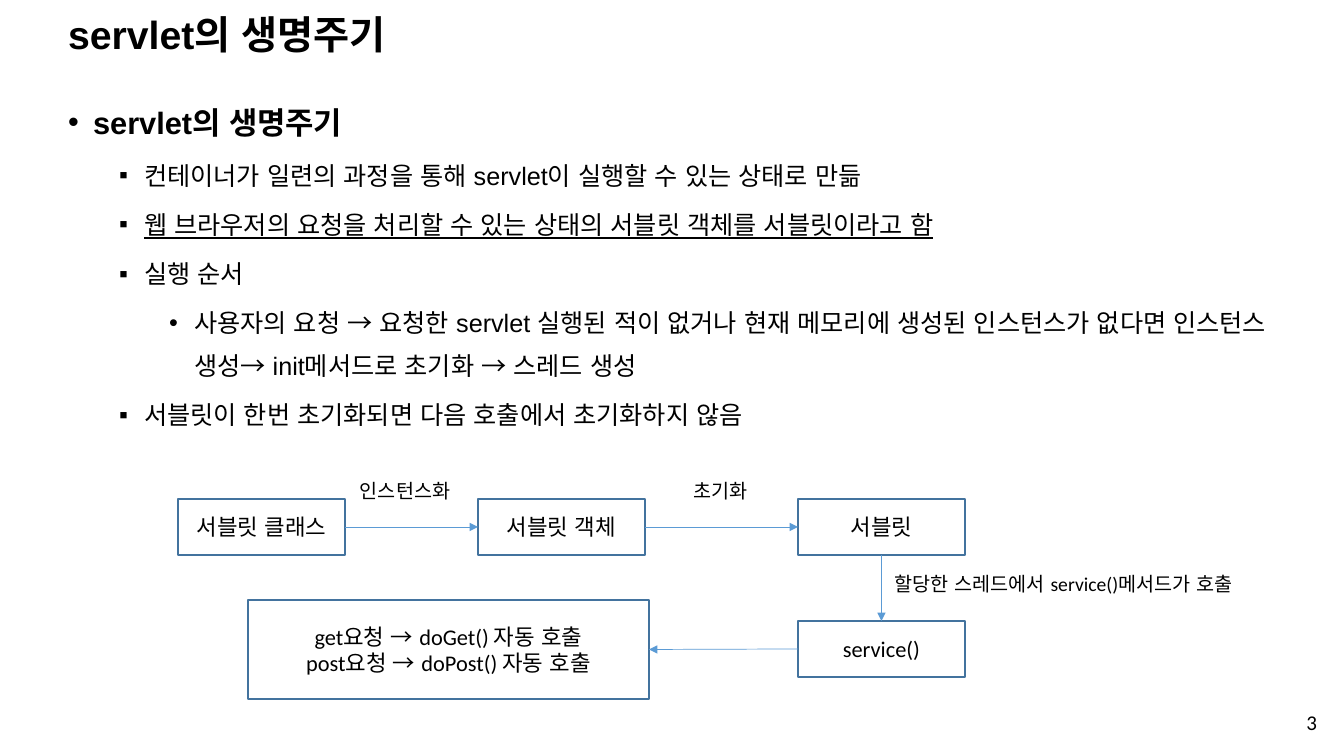
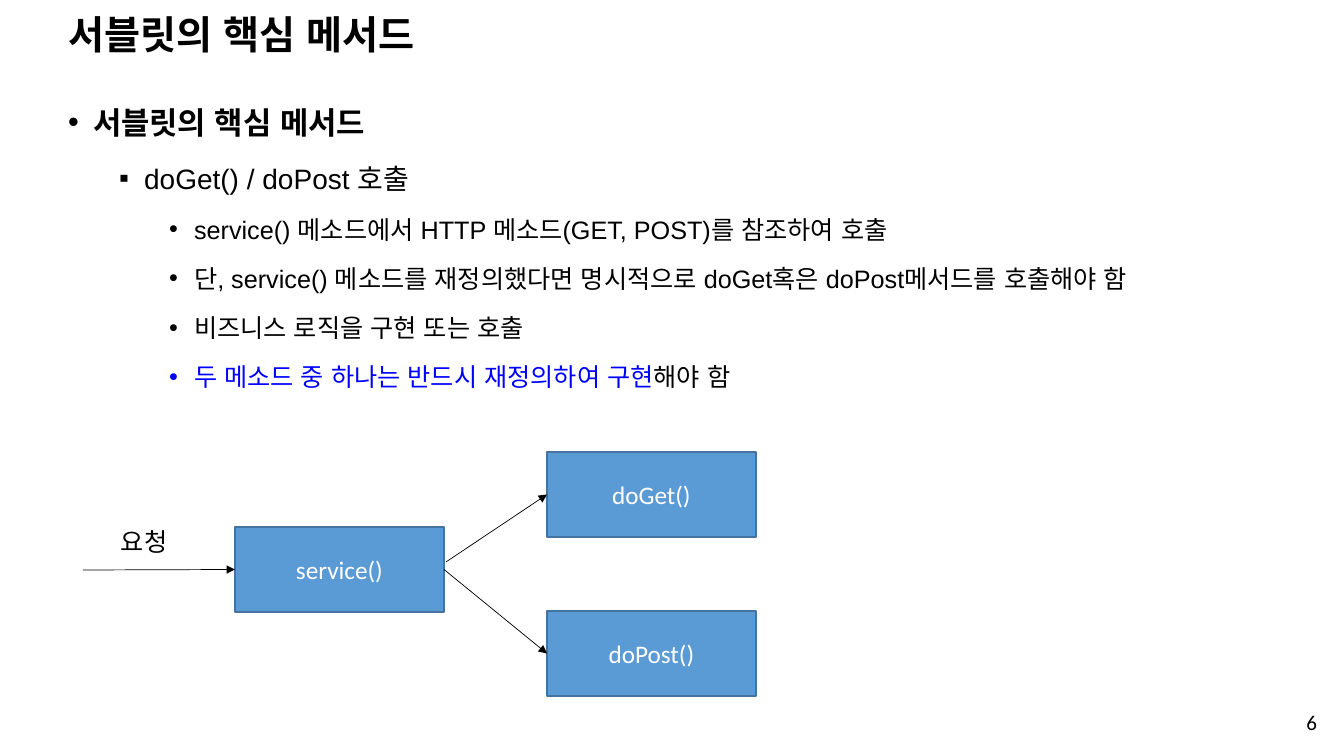
"""Builds two slides on the servlet life cycle and its core methods."""
from dataclasses import dataclass

from lxml import etree
from pptx import Presentation
from pptx.dml.color import RGBColor
from pptx.enum.lang import MSO_LANGUAGE_ID
from pptx.enum.shapes import MSO_CONNECTOR, MSO_SHAPE
from pptx.enum.text import MSO_ANCHOR, MSO_AUTO_SIZE, PP_ALIGN
from pptx.oxml.ns import qn
from pptx.util import Emu, Pt

KOREAN = MSO_LANGUAGE_ID.KOREAN
RECTANGLE = MSO_SHAPE.RECTANGLE
STRAIGHT = MSO_CONNECTOR.STRAIGHT
MIDDLE, TOP_ANCHOR = MSO_ANCHOR.MIDDLE, MSO_ANCHOR.TOP
NO_AUTOFIT = MSO_AUTO_SIZE.NONE
LEFT, CENTER, RIGHT = PP_ALIGN.LEFT, PP_ALIGN.CENTER, PP_ALIGN.RIGHT
TOP_SITE, LEFT_SITE, BOTTOM_SITE, RIGHT_SITE = range(4)

SLIDE_SIZE = (1344, 756)
TITLE_BOX = (58, 18, 1159, 38)
BODY_BOX = (58, 84, 1224, 633)
NUMBER_BOX = (949, 701, 378, 42)
FLOW_BOX = (178, 474, 1086, 225)
DISPATCH_BOX = (83, 452, 673, 244)


@dataclass(frozen=True)
class Theme:
    """Colours, fonts and type sizes of the deck."""
    text: str = "000000"
    white: str = "FFFFFF"
    accent: str = "5B9BD5"
    outline: str = "43739E"
    highlight: str = "0000FF"
    heading_font: str = "Arial"
    diagram_font: str = "Calibri"
    title_size: int = 28
    heading_size: int = 22
    subheading_size: int = 20
    body_size: int = 18
    box_size: int = 16
    number_size: int = 15
    label_size: int = 14


THEME = Theme()
# bullet, left margin in pixels, space before in points
LEVELS = (("•", 25, 10), ("▪", 76, 5), ("•", 126, 5))
BULLET_HANG = 25


def px(pixels):
    """Turn pixels into EMU."""
    return Emu(round(pixels * 914400 / 100.8))


def place(shape, box):
    """Move a shape to a box given in pixels."""
    shape.left, shape.top, shape.width, shape.height = map(px, box)


def write(paragraph, text, *, size, font=THEME.diagram_font, color=THEME.text,
          bold=False, underline=False, align=LEFT):
    """Add one formatted run to a paragraph."""
    paragraph.alignment = align
    run = paragraph.add_run()
    run.text = text
    run.font.name, run.font.size = font, Pt(size)
    run.font.bold, run.font.underline = bold, underline
    run.font.color.rgb = RGBColor.from_string(color)
    run.font.language_id = KOREAN


def add_label(slide, box, text, *, wrap=False, anchor=TOP_ANCHOR, **style):
    """Add a text box with one line of text."""
    shape = slide.shapes.add_textbox(*map(px, box))
    frame = shape.text_frame
    frame.word_wrap, frame.vertical_anchor = wrap, anchor
    write(frame.paragraphs[0], text, **style)


def add_box(slide, box, lines, *, fill=None, **style):
    """Add an outlined rectangle with centred lines and return it."""
    shape = slide.shapes.add_shape(RECTANGLE, *map(px, box))
    shape.shadow.inherit = False
    if fill:
        shape.fill.solid()
        shape.fill.fore_color.rgb = RGBColor.from_string(fill)
    else:
        shape.fill.background()
    shape.line.color.rgb = RGBColor.from_string(THEME.outline)
    shape.line.width = Pt(1)
    frame = shape.text_frame
    frame.word_wrap, frame.vertical_anchor = True, MIDDLE
    for index, line in enumerate(lines):
        paragraph = frame.add_paragraph() if index else frame.paragraphs[0]
        write(paragraph, line, align=CENTER, **style)
    return shape


def add_arrow(slide, target, *, source=None, start=(0, 0), color=THEME.text):
    """Draw an arrow to a (shape, site) from another one or a pixel point."""
    x, y = map(px, start)
    arrow = slide.shapes.add_connector(STRAIGHT, x, y, x, y)
    if source:
        arrow.begin_connect(*source)
    arrow.end_connect(*target)
    arrow.line.color.rgb = RGBColor.from_string(color)
    arrow.line.width = Pt(0.5)
    etree.SubElement(arrow.line._get_or_add_ln(), qn("a:tailEnd"), type="triangle")
    etree.SubElement(arrow._element.spPr, qn("a:effectLst"))


def set_level(paragraph, level):
    """Give a paragraph the bullet, indent and spacing of its level."""
    bullet, margin, space_before = LEVELS[level]
    paragraph.level = level
    paragraph.line_spacing = 1.4
    paragraph.space_before, paragraph.space_after = Pt(space_before), Pt(0)
    properties = paragraph._p.get_or_add_pPr()
    properties.set("marL", str(px(margin)))
    properties.set("indent", str(-px(BULLET_HANG)))
    etree.SubElement(properties, qn("a:buFont"), typeface=THEME.heading_font)
    etree.SubElement(properties, qn("a:buChar"), char=bullet)


def fill_title(shape, box, text):
    """Fill the title placeholder."""
    place(shape, box)
    frame = shape.text_frame
    frame.auto_size, frame.vertical_anchor = NO_AUTOFIT, MIDDLE
    paragraph = frame.paragraphs[0]
    paragraph.line_spacing = 0.9
    write(paragraph, text, size=THEME.title_size, font=THEME.heading_font, bold=True)


def fill_body(shape, box, heading, items):
    """Fill the body placeholder with a heading and (level, runs) items."""
    place(shape, box)
    frame = shape.text_frame
    frame.auto_size, frame.vertical_anchor = NO_AUTOFIT, TOP_ANCHOR
    heading_run = (heading, {"size": THEME.heading_size, "bold": True})
    for index, (level, runs) in enumerate([(0, [heading_run]), *items]):
        paragraph = frame.add_paragraph() if index else frame.paragraphs[0]
        set_level(paragraph, level)
        for text, style in runs:
            write(paragraph, text, font=THEME.heading_font,
                  **{"size": THEME.body_size, **style})


def add_content_slide(presentation, title, number, items):
    """Add a slide with title, bullet list and page number."""
    slide = presentation.slides.add_slide(presentation.slide_layouts[1])
    fill_title(slide.shapes.title, TITLE_BOX, title)
    fill_body(slide.placeholders[1], BODY_BOX, title, items)
    add_label(slide, NUMBER_BOX, number, wrap=True, anchor=MIDDLE,
              size=THEME.number_size, align=RIGHT)
    return slide


def draw_life_cycle(slide, box):
    """Draw the flow from servlet class to request methods."""
    left, top, width, height = box
    box_width, box_height, row = 167, 56, top + 25
    style = {"size": THEME.box_size}
    stages = [add_box(slide, (left + offset, row, box_width, box_height), [text], **style)
              for offset, text in ((0, "서블릿 클래스"), (300, "서블릿 객체"), (620, "서블릿"))]
    service = add_box(slide, (left + 620, top + 147, box_width, box_height),
                      ["service()"], **style)
    requests = add_box(slide, (left + 70, top + height - 99, 401, 99),
                       ["get요청 → doGet() 자동 호출", "post요청 → doPost() 자동 호출"], **style)
    servlet_class, servlet_object, servlet = stages
    for source, source_site, target, target_site in (
            (servlet_class, RIGHT_SITE, servlet_object, LEFT_SITE),
            (servlet_object, RIGHT_SITE, servlet, LEFT_SITE),
            (servlet, BOTTOM_SITE, service, TOP_SITE),
            (service, LEFT_SITE, requests, RIGHT_SITE)):
        add_arrow(slide, (target, target_site), source=(source, source_site),
                  color=THEME.accent)
    for x, y, label_width, text in (
            (172, 0, 119, "인스턴스화"), (506, 0, 80, "초기화"),
            (width - 379, 93, 379, "할당한 스레드에서 service()메서드가 호출")):
        add_label(slide, (left + x, top + y, label_width, 34), text, size=THEME.label_size)


def draw_dispatch(slide, box):
    """Draw service() passing a request to doGet() or doPost()."""
    left, top, width, height = box
    box_width, box_height = 209, 85
    column = left + width - box_width
    service, do_get, do_post = [
        add_box(slide, (x, y, box_width, box_height), [text], fill=THEME.accent,
                size=THEME.body_size, color=THEME.white)
        for x, y, text in ((left + 152, top + 75, "service()"), (column, top, "doGet()"),
                           (column, top + height - box_height, "doPost()"))]
    add_arrow(slide, (service, LEFT_SITE), start=(left, top + 118))
    add_arrow(slide, (do_get, LEFT_SITE), start=(left + 363, top + 110))
    add_arrow(slide, (do_post, LEFT_SITE), source=(service, RIGHT_SITE))
    add_label(slide, (left + 28, top + 69, 72, 40), "요청", size=THEME.body_size)


def main():
    """Build and save the deck."""
    presentation = Presentation()
    presentation.slide_width, presentation.slide_height = map(px, SLIDE_SIZE)

    life_cycle = add_content_slide(presentation, "servlet의 생명주기", "3", [
        (1, [("컨테이너가 일련의 과정을 통해 servlet이 실행할 수 있는 상태로 만듦", {})]),
        (1, [("웹 브라우저의 요청을 처리할 수 있는 상태의 서블릿 객체를 서블릿이라고 함",
              {"underline": True})]),
        (1, [("실행 순서", {})]),
        (2, [("사용자의 요청 → 요청한 servlet 실행된 적이 없거나 현재 메모리에 생성된 "
              "인스턴스가 없다면 인스턴스 생성→ init메서드로 초기화 → 스레드 생성", {})]),
        (1, [("서블릿이 한번 초기화되면 다음 호출에서 초기화하지 않음", {})]),
    ])
    draw_life_cycle(life_cycle, FLOW_BOX)

    core_methods = add_content_slide(presentation, "서블릿의 핵심 메서드", "6", [
        (1, [("doGet() / doPost 호출", {"size": THEME.subheading_size})]),
        (2, [("service() 메소드에서 HTTP 메소드(GET, POST)를 참조하여 호출", {})]),
        (2, [("단, service() 메소드를 재정의했다면 명시적으로 doGet혹은 "
              "doPost메서드를 호출해야 함", {})]),
        (2, [("비즈니스 로직을 구현 또는 호출", {})]),
        (2, [("두 메소드 중 하나는 반드시 재정의하여 구현", {"color": THEME.highlight}),
             ("해야 함", {})]),
    ])
    draw_dispatch(core_methods, DISPATCH_BOX)
    presentation.save("out.pptx")


main()
